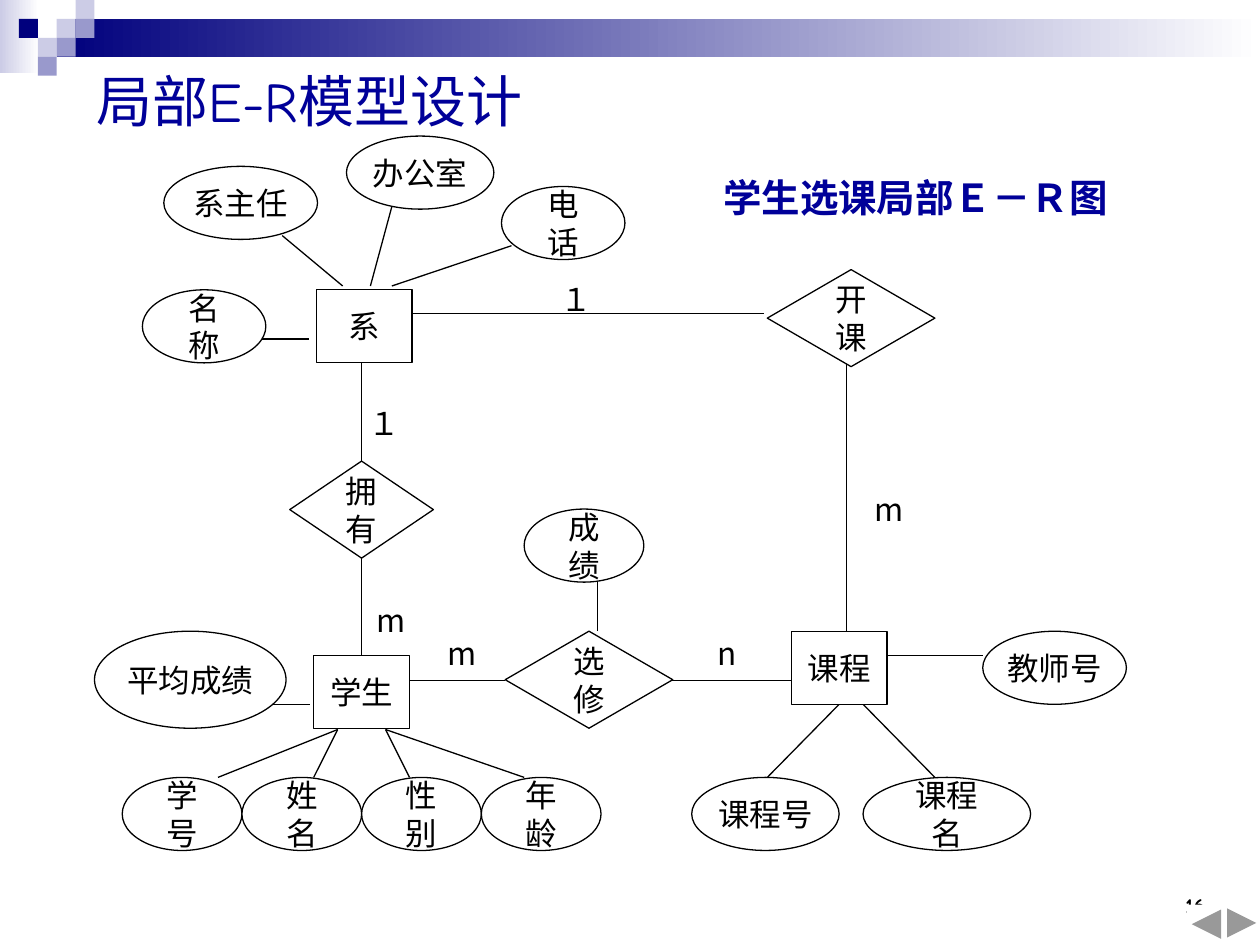
"""Build a slide with the entity-relationship diagram of course selection."""
from typing import NamedTuple

from lxml import etree
from pptx import Presentation
from pptx.dml.color import RGBColor
from pptx.enum.shapes import MSO_CONNECTOR, MSO_SHAPE
from pptx.enum.text import MSO_ANCHOR, PP_ALIGN
from pptx.oxml.ns import qn
from pptx.util import Cm, Pt

RECT, ELLIPSE, DIAMOND = MSO_SHAPE.RECTANGLE, MSO_SHAPE.OVAL, MSO_SHAPE.DIAMOND
BACK = MSO_SHAPE.ACTION_BUTTON_BACK_OR_PREVIOUS
NEXT = MSO_SHAPE.ACTION_BUTTON_FORWARD_OR_NEXT
STRAIGHT = MSO_CONNECTOR.STRAIGHT
LEFT, CENTER, RIGHT, JUSTIFY = PP_ALIGN.LEFT, PP_ALIGN.CENTER, PP_ALIGN.RIGHT, PP_ALIGN.JUSTIFY
TOP, MIDDLE, BOTTOM = MSO_ANCHOR.TOP, MSO_ANCHOR.MIDDLE, MSO_ANCHOR.BOTTOM
HAN, COMIC = "Noto Sans CJK SC", "Comic Neue"
COLORS = {"white": "FFFFFF", "black": "000000", "title": "000099",
          "navy": "00007D", "pale": "CCCCE6", "lilac": "9999CC"}
UNIT = 2.54
TILE = 0.15
LINE_WIDTH = Pt(0.74)


class Area(NamedTuple):
    left: float
    top: float
    width: float
    height: float


class Style(NamedTuple):
    size: int = 18
    font: str = HAN
    color: str = "black"
    bold: bool = False
    align: PP_ALIGN = CENTER
    anchor: MSO_ANCHOR = MIDDLE
    side: float = 0.1
    wrap: bool = True
    spacing: float = 1.0


class Node(NamedTuple):
    text: str
    shape: MSO_SHAPE
    area: Area
    side: float = 0.1


class Label(NamedTuple):
    text: str
    area: Area
    spacing: float = 1.0


class Link(NamedTuple):
    x1: float
    y1: float
    x2: float
    y2: float


LABELS = [
    Label("m", Area(6.84, 3.69, 0.65, 0.7)),
    Label("m", Area(3.45, 4.92, 0.46, 0.53)),
    Label("n", Area(5.6, 4.92, 0.46, 0.53)),
    Label("m", Area(2.89, 4.57, 0.65, 0.7)),
    Label("１", Area(4.35, 2.11, 0.54, 0.58), 0.8),
    Label("１", Area(2.83, 3.07, 0.54, 0.58)),
]
STUDENT_FIELDS = [Node(text, ELLIPSE, Area(0.97 + 0.95 * index, 6.17, 0.95, 0.58))
                  for index, text in enumerate(["学号", "姓名", "性别", "年龄"])]
NODES = STUDENT_FIELDS + [
    Node("系", RECT, Area(2.51, 2.3, 0.76, 0.58)),
    Node("学生", RECT, Area(2.49, 5.2, 0.76, 0.58)),
    Node("课程", RECT, Area(6.28, 5.01, 0.76, 0.58)),
    Node("拥有", DIAMOND, Area(2.3, 3.66, 1.14, 0.77)),
    Node("开课", DIAMOND, Area(6.09, 2.14, 1.33, 0.77)),
    Node("选修", DIAMOND, Area(4.01, 5.01, 1.33, 0.77)),
    Node("名称", ELLIPSE, Area(1.13, 2.3, 0.98, 0.58)),
    Node("系主任", ELLIPSE, Area(1.3, 1.32, 1.22, 0.58), 0),
    Node("办公室", ELLIPSE, Area(2.75, 1.08, 1.17, 0.58), 0),
    Node("电话", ELLIPSE, Area(3.98, 1.48, 0.98, 0.58)),
    Node("成绩", ELLIPSE, Area(4.16, 4.04, 0.95, 0.58)),
    Node("平均成绩", ELLIPSE, Area(0.75, 5.01, 1.52, 0.77), 0),
    Node("教师号", ELLIPSE, Area(7.8, 5.01, 1.14, 0.58), 0),
    Node("课程号", ELLIPSE, Area(5.49, 6.17, 1.17, 0.58), 0),
    Node("课程名", ELLIPSE, Area(6.85, 6.17, 1.33, 0.58)),
]
LINKS = [
    Link(2.24, 1.87, 2.72, 2.27), Link(3.11, 1.64, 2.94, 2.27),
    Link(4.06, 1.95, 3.11, 2.27), Link(2.07, 2.69, 2.45, 2.69),
    Link(3.25, 2.49, 6.06, 2.49), Link(6.72, 2.88, 6.72, 5.01),
    Link(2.87, 2.88, 2.87, 3.66), Link(2.87, 4.43, 2.87, 5.2),
    Link(3.25, 5.4, 4.01, 5.4), Link(5.33, 5.4, 6.28, 5.4),
    Link(4.74, 5.01, 4.74, 4.62), Link(2.08, 5.59, 2.46, 5.59),
    Link(2.68, 5.79, 1.73, 6.17), Link(2.68, 5.79, 2.49, 6.17),
    Link(3.06, 5.79, 3.25, 6.17), Link(3.06, 5.79, 4.16, 6.17),
    Link(7.04, 5.2, 7.8, 5.2), Link(6.66, 5.59, 6.09, 6.17),
    Link(6.85, 5.59, 7.42, 6.17),
]
BANDS = [(Area(0, 0, 0.31, 0.58), "pale"), (Area(0.45, 0.15, 9.55, 0.3), "navy")]
TILES = [(3, 1, "pale"), (4, 0, "pale"), (4, 1, "lilac"), (2, 2, "pale"),
         (1, 1, "navy"), (3, 2, "lilac"), (2, 3, "lilac")]


def lengths(values: tuple) -> list:
    return [Cm(value * UNIT) for value in values]


def rgb(name: str) -> RGBColor:
    return RGBColor.from_string(COLORS[name])


def write(box, text: str, style: Style) -> None:
    frame = box.text_frame
    frame.word_wrap = style.wrap
    frame.vertical_anchor = style.anchor
    frame.margin_left = frame.margin_right = Cm(style.side * UNIT)
    frame.margin_top = frame.margin_bottom = Cm(0.05 * UNIT)
    frame.text = text
    para = frame.paragraphs[0]
    para.alignment = style.align
    para.line_spacing = style.spacing
    span = para.runs[0]
    span.font.size = Pt(style.size)
    span.font.name = style.font
    span.font.bold = style.bold
    span.font.color.rgb = rgb(style.color)
    etree.SubElement(span.font._element, qn("a:ea")).set("typeface", HAN)


def add_box(page, kind: MSO_SHAPE, area: Area, color: str = "white", outlined: bool = False):
    box = page.shapes.add_shape(kind, *lengths(area))
    box.shadow.inherit = False
    box.fill.solid()
    box.fill.fore_color.rgb = rgb(color)
    if outlined:
        box.line.color.rgb = rgb("black")
        box.line.width = LINE_WIDTH
    else:
        box.line.fill.background()
    return box


def add_band(page, area: Area, color: str) -> None:
    band = add_box(page, RECT, area)
    band.fill.gradient()
    band.fill.gradient_angle = 0
    for stop, name in zip(band.fill.gradient_stops, (color, "white")):
        stop.color.rgb = rgb(name)


def add_link(page, link: Link) -> None:
    line = page.shapes.add_connector(STRAIGHT, *lengths(link))
    line.line.color.rgb = rgb("black")
    line.line.width = LINE_WIDTH
    etree.SubElement(line._element.spPr, qn("a:effectLst"))


def add_text(page, text: str, area: Area, style: Style) -> None:
    write(page.shapes.add_textbox(*lengths(area)), text, style)


def main() -> None:
    deck = Presentation()
    deck.slide_width, deck.slide_height = lengths((10, 7.5))
    page = deck.slides.add_slide(deck.slide_layouts[6])
    for area, color in BANDS:
        add_band(page, area, color)
    for column, row, color in TILES:
        add_box(page, RECT, Area(column * TILE, row * TILE, TILE, TILE), color)
    add_text(page, "16", Area(8.83, 6.83, 0.83, 0.5),
             Style(12, COMIC, bold=True, align=RIGHT, anchor=BOTTOM))
    add_text(page, "局部E-R模型设计", Area(0.67, 0.42, 9, 0.75),
             Style(32, COMIC, "title", align=LEFT))
    for label in LABELS:
        write(add_box(page, RECT, label.area), label.text,
              Style(align=JUSTIFY, spacing=label.spacing))
    for link in LINKS:
        add_link(page, link)
    for node in NODES:
        write(add_box(page, node.shape, node.area, outlined=True), node.text,
              Style(side=node.side))
    add_text(page, "学生选课局部Ｅ－Ｒ图", Area(5.64, 1.33, 3.25, 0.47),
             Style(22, color="title", bold=True, anchor=TOP, wrap=False))
    add_box(page, NEXT, Area(9.7, 7.17, 0.31, 0.31))
    add_box(page, BACK, Area(9.42, 7.18, 0.31, 0.31))
    deck.save("out.pptx")


main()
